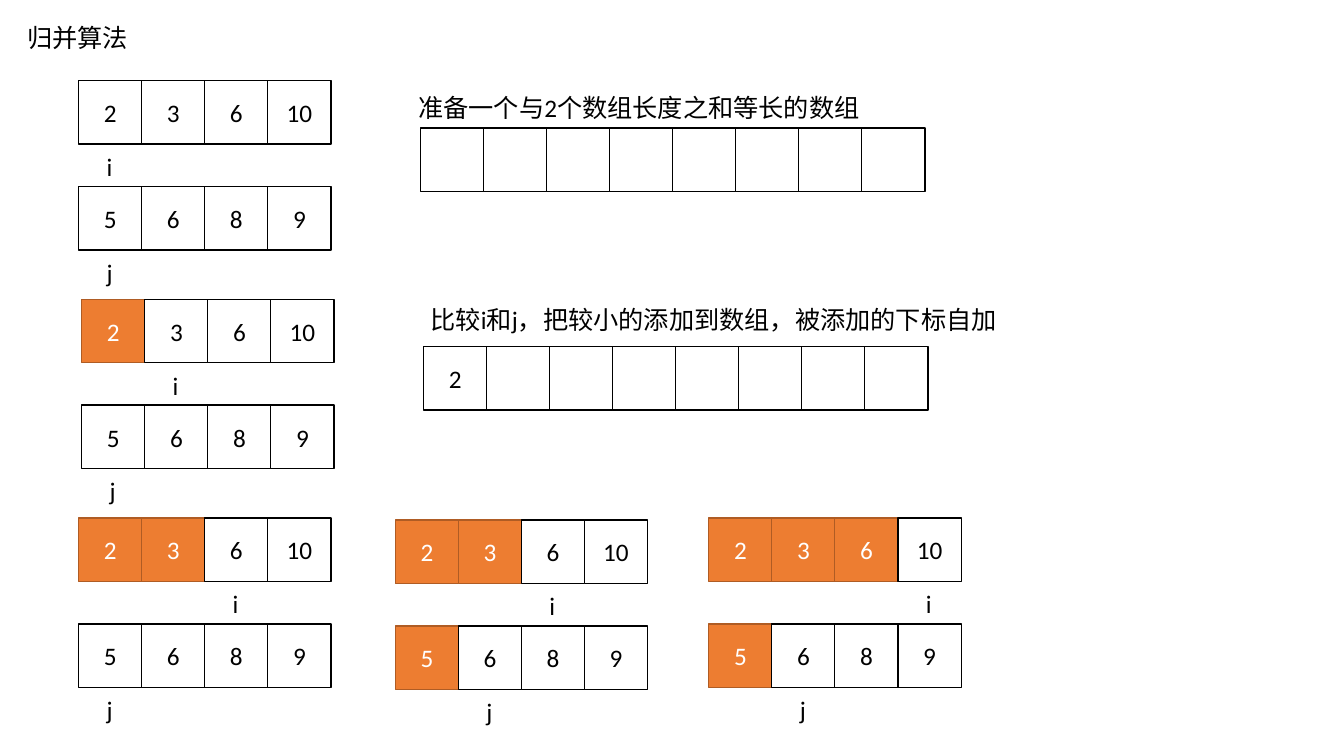
from dataclasses import dataclass

from pptx import Presentation
from pptx.dml.color import RGBColor
from pptx.enum.shapes import MSO_SHAPE
from pptx.enum.text import MSO_ANCHOR, MSO_AUTO_SIZE, PP_ALIGN
from pptx.shapes.autoshape import Shape
from pptx.slide import Slide
from pptx.util import Inches, Pt

RECTANGLE = MSO_SHAPE.RECTANGLE
TOP, MIDDLE = MSO_ANCHOR.TOP, MSO_ANCHOR.MIDDLE
LEFT, CENTER = PP_ALIGN.LEFT, PP_ALIGN.CENTER
FIT_SHAPE = MSO_AUTO_SIZE.SHAPE_TO_FIT_TEXT
TITLE_ONLY = 5


@dataclass(frozen=True)
class Theme:
    font: str = "Calibri"
    size: Pt = Pt(18)
    line_width: Pt = Pt(1)
    black: RGBColor = RGBColor(0x00, 0x00, 0x00)
    white: RGBColor = RGBColor(0xFF, 0xFF, 0xFF)
    taken_fill: RGBColor = RGBColor(0xED, 0x7D, 0x31)
    taken_line: RGBColor = RGBColor(0xAF, 0x5C, 0x24)


@dataclass(frozen=True)
class MergeStep:
    """Two sorted arrays, with the number of values already taken from each."""
    left: float
    top: float
    taken_i: int
    taken_j: int


@dataclass(frozen=True)
class ResultArray:
    left: float
    top: float
    values: list[str]


@dataclass(frozen=True)
class Caption:
    text: str
    left: float
    top: float
    width: float


THEME = Theme()

# Geometry in inches
CELL_SIZE = 0.63
CELL_PITCH = 0.625
ROW_PITCH = 1.05
POINTER_OFFSET_X = 0.18
POINTER_OFFSET_Y = 0.65
POINTER_WIDTH = 0.26
TEXT_HEIGHT = 0.4

# Content
FIRST_ARRAY = ["2", "3", "6", "10"]
SECOND_ARRAY = ["5", "6", "8", "9"]
RESULT_LENGTH = len(FIRST_ARRAY) + len(SECOND_ARRAY)
TITLE = Caption("归并算法", 0.17, 0.17, 1.21)
CAPTIONS = [
    Caption("准备一个与2个数组长度之和等长的数组", 4.05, 0.87, 4.92),
    Caption("比较i和j，把较小的添加到数组，被添加的下标自加", 4.17, 2.97, 6.81),
]
MERGE_STEPS = [
    MergeStep(0.78, 0.8, 0, 0),
    MergeStep(0.81, 2.97, 1, 0),
    MergeStep(0.78, 5.14, 2, 0),
    MergeStep(3.92, 5.16, 2, 1),
    MergeStep(7.03, 5.14, 3, 1),
]
RESULT_ARRAYS = [
    ResultArray(4.17, 1.27, []),
    ResultArray(4.2, 3.44, ["2"]),
]


def write_text(shape: Shape, text: str, color: RGBColor, alignment: PP_ALIGN) -> None:
    paragraph = shape.text_frame.paragraphs[0]
    paragraph.text = text
    paragraph.alignment = alignment
    paragraph.font.name = THEME.font
    paragraph.font.size = THEME.size
    paragraph.font.color.rgb = color


def format_label(shape: Shape, caption: Caption, wrap: bool) -> None:
    shape.left, shape.top = Inches(caption.left), Inches(caption.top)
    shape.width, shape.height = Inches(caption.width), Inches(TEXT_HEIGHT)
    write_text(shape, caption.text, THEME.black, LEFT)
    frame = shape.text_frame
    frame.word_wrap = wrap
    frame.auto_size = FIT_SHAPE
    frame.vertical_anchor = TOP


def add_label(slide: Slide, caption: Caption, wrap: bool) -> None:
    format_label(slide.shapes.add_textbox(0, 0, 0, 0), caption, wrap)


def add_cell(slide: Slide, left: float, top: float, value: str, taken: bool) -> None:
    cell = slide.shapes.add_shape(
        RECTANGLE, Inches(left), Inches(top), Inches(CELL_SIZE), Inches(CELL_SIZE))
    cell.shadow.inherit = False
    cell.fill.solid()
    cell.fill.fore_color.rgb = THEME.taken_fill if taken else THEME.white
    cell.line.color.rgb = THEME.taken_line if taken else THEME.black
    cell.line.width = THEME.line_width
    if value:
        write_text(cell, value, THEME.white if taken else THEME.black, CENTER)
        cell.text_frame.vertical_anchor = MIDDLE


def add_array(slide: Slide, left: float, top: float, values: list[str], taken: int) -> None:
    for index, value in enumerate(values):
        add_cell(slide, left + index * CELL_PITCH, top, value, index < taken)


def add_merge_step(slide: Slide, step: MergeStep) -> None:
    rows = [("i", FIRST_ARRAY, step.taken_i), ("j", SECOND_ARRAY, step.taken_j)]
    for row, (pointer, values, taken) in enumerate(rows):
        top = step.top + row * ROW_PITCH
        add_array(slide, step.left, top, values, taken)
        pointer_left = step.left + POINTER_OFFSET_X + taken * CELL_PITCH
        label = Caption(pointer, pointer_left, top + POINTER_OFFSET_Y, POINTER_WIDTH)
        add_label(slide, label, wrap=False)


def main() -> None:
    presentation = Presentation()
    presentation.slide_width = Inches(13.33)
    presentation.slide_height = Inches(7.5)
    slide = presentation.slides.add_slide(presentation.slide_layouts[TITLE_ONLY])

    # Title and captions
    format_label(slide.shapes.title, TITLE, wrap=False)
    for caption in CAPTIONS:
        add_label(slide, caption, wrap=True)

    # Source arrays with their pointers
    for step in MERGE_STEPS:
        add_merge_step(slide, step)

    # Merged arrays, padded with empty cells
    for result in RESULT_ARRAYS:
        padding = [""] * (RESULT_LENGTH - len(result.values))
        add_array(slide, result.left, result.top, result.values + padding, taken=0)

    presentation.save("out.pptx")


if __name__ == "__main__":
    main()
